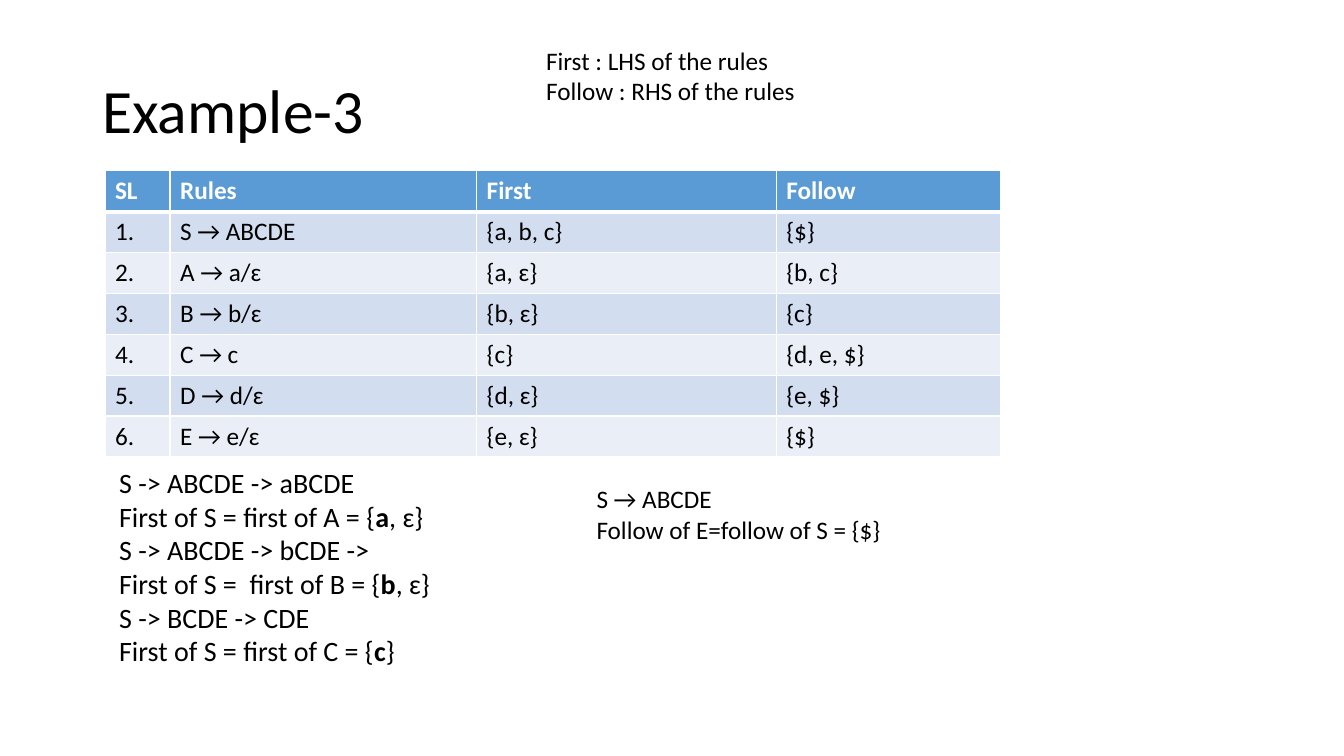
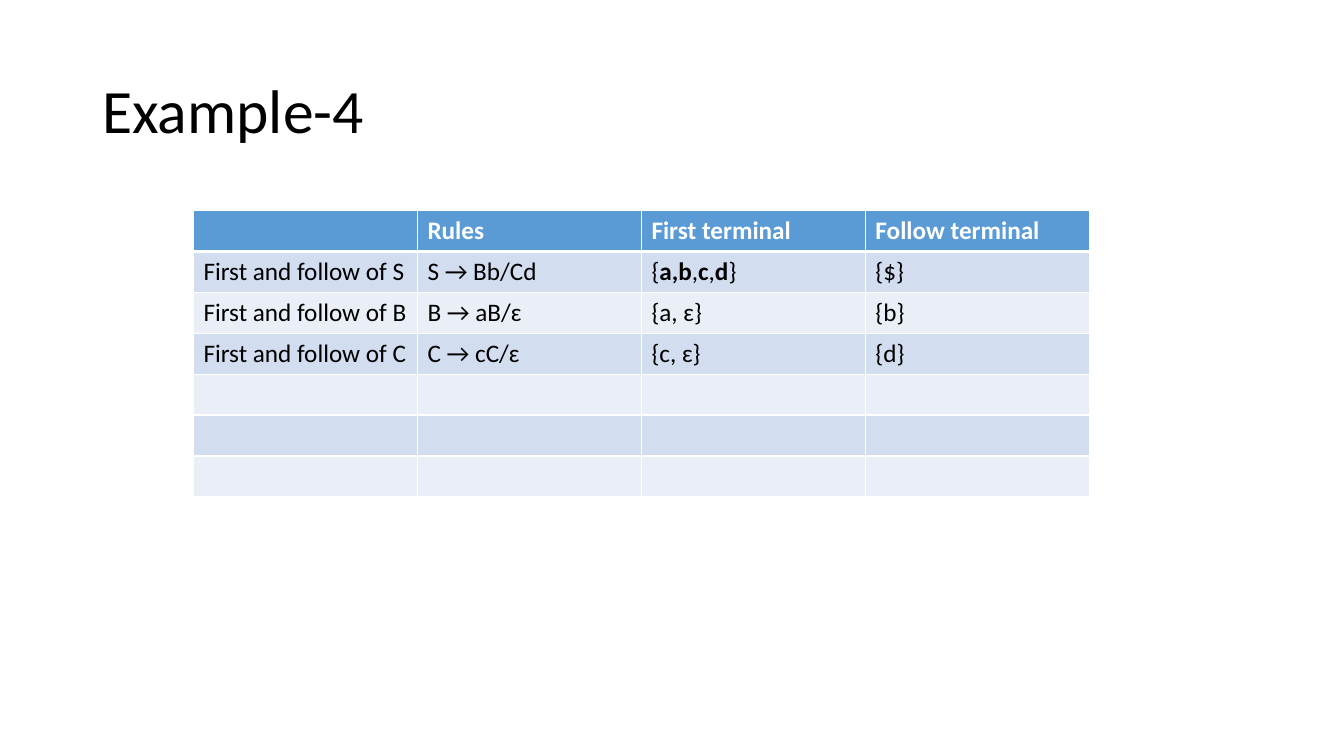
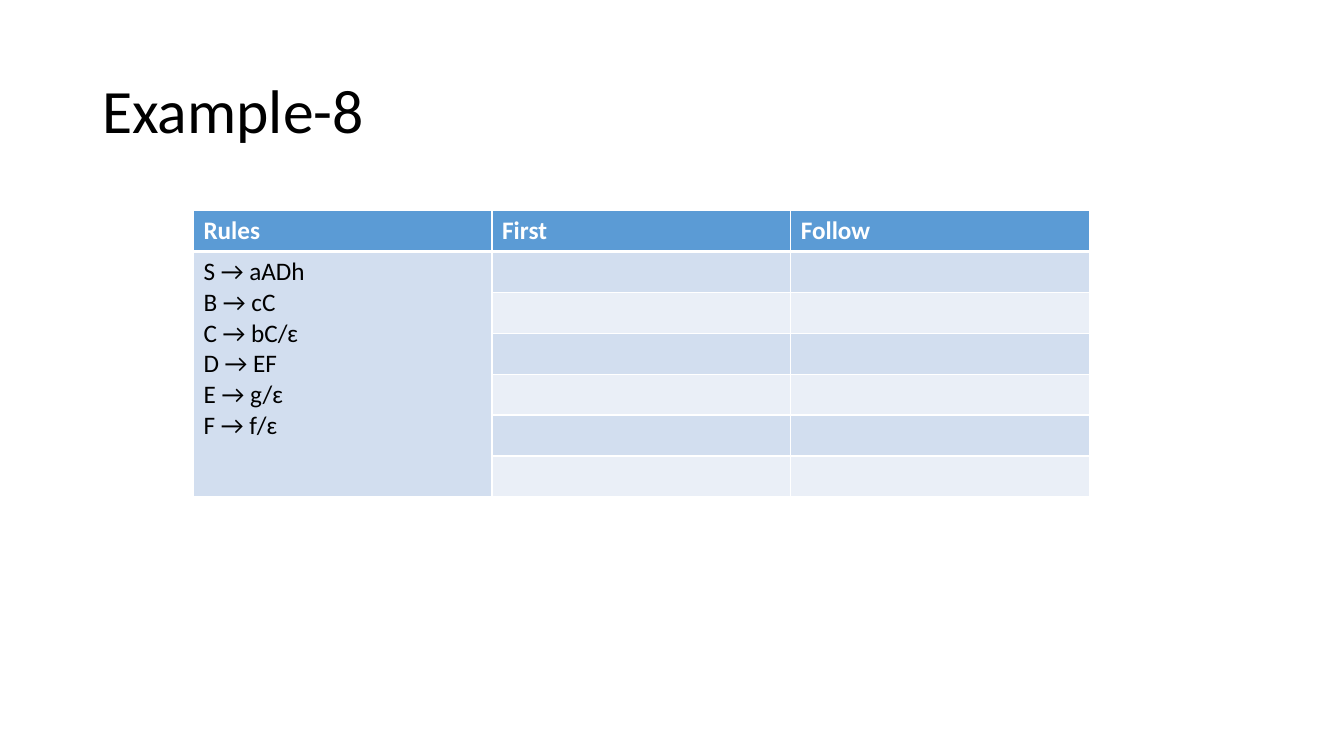
from dataclasses import dataclass

from lxml import etree
from pptx import Presentation, util as u
from pptx.dml.color import RGBColor
from pptx.enum import text
from pptx.oxml import ns


@dataclass(frozen=True)
class Theme:
    font: str = "Calibri"
    ink: str = "000000"
    white: str = "FFFFFF"
    header: str = "5B9BD5"
    bands: tuple = ("D2DEEF", "EAEFF7")
    title_size: int = 44
    working_size: int = 20
    body_size: int = 18
    rule: int = 1
    header_rule: int = 3
    row_height: float = 29.2
    table_width: int = 640


theme = Theme()


def write(frame, content, size, color=theme.ink, bold=False):
    """One paragraph per line; text between asterisks is bold."""
    for i, line in enumerate(content.split("\n")):
        paragraph = frame.paragraphs[0] if i == 0 else frame.add_paragraph()
        for j, part in enumerate(line.split("*")):
            if part:
                run = paragraph.add_run()
                run.text = part
                run.font.name = theme.font
                run.font.size = u.Pt(size)
                run.font.bold = bold or j % 2 == 1
                run.font.color.rgb = RGBColor.from_string(color)


def style_cell(cell, row):
    """Fill a cell by its row and draw its four white borders."""
    cell.fill.solid()
    fill = theme.header if row == 0 else theme.bands[(row - 1) % 2]
    cell.fill.fore_color.rgb = RGBColor.from_string(fill)
    properties = cell._tc.get_or_add_tcPr()
    for i, side in enumerate("LRTB"):
        thick = (row, side) in ((0, "B"), (1, "T"))
        width = theme.header_rule if thick else theme.rule
        border = etree.Element(ns.qn("a:ln" + side), w=str(u.Pt(width)))
        solid = etree.SubElement(border, ns.qn("a:solidFill"))
        etree.SubElement(solid, ns.qn("a:srgbClr"), val=theme.white)
        properties.insert(i, border)


# Content: notes are (left, top, width, height, size, text)
examples = [
    dict(
        title="Example-3",
        table_at=(75, 122),
        columns=[46.5, 219, 214, 160.5],
        rows=[
            ["SL", "Rules", "First", "Follow"],
            ["1.", "S → ABCDE", "{a, b, c}", "{$}"],
            ["2.", "A → a/ɛ", "{a, ɛ}", "{b, c}"],
            ["3.", "B → b/ɛ", "{b, ɛ}", "{c}"],
            ["4.", "C → c", "{c}", "{d, e, $}"],
            ["5.", "D → d/ɛ", "{d, ɛ}", "{e, $}"],
            ["6.", "E → e/ɛ", "{e, ɛ}", "{$}"],
        ],
        notes=[
            (383, 29, 194.4, 51, theme.body_size,
             "First : LHS of the rules\nFollow : RHS of the rules"),
            (78, 329, 238.3, 152.6, theme.working_size,
             "S -> ABCDE -> aBCDE\n"
             "First of S = first of A = {*a*, ɛ}\n"
             "S -> ABCDE -> bCDE ->\n"
             "First of S =  first of B = {*b*, ɛ}\n"
             "S -> BCDE -> CDE\n"
             "First of S = first of C = {*c*}"),
            (419, 342, 219.6, 51, theme.body_size,
             "S → ABCDE\nFollow of E=follow of S = {$}"),
        ],
    ),
    dict(
        title="Example-4",
        table_at=(138.2, 150.5),
        columns=[theme.table_width / 4] * 4,
        rows=[
            ["", "Rules", "First terminal", "Follow terminal"],
            ["First and follow of S", "S → Bb/Cd", "{*a,b*,*c*,*d*}", "{$}"],
            ["First and follow of B", "B → aB/ɛ", "{a, ɛ}", "{b}"],
            ["First and follow of C", "C → cC/ɛ", "{c, ɛ}", "{d}"],
        ] + [[""] * 4] * 3,
        notes=[],
    ),
    dict(
        title="Example-8",
        table_at=(138.2, 150.5),
        columns=[theme.table_width / 3] * 3,
        rows=[
            ["Rules", "First", "Follow"],
            ["S → aADh\nB → cC\nC → bC/ɛ\nD → EF\nE → g/ɛ\nF → f/ɛ", "", ""],
        ] + [[""] * 3] * 5,
        merge=((1, 0), (6, 0)),
        notes=[],
    ),
]

deck = Presentation()
deck.slide_width, deck.slide_height = u.Pt(960), u.Pt(540)

for example in examples:
    slide = deck.slides.add_slide(deck.slide_layouts[6])

    # Title
    title = slide.shapes.add_textbox(u.Pt(66), u.Pt(28.8), u.Pt(828), u.Pt(104.4)).text_frame
    title.word_wrap = True
    title.vertical_anchor = text.MSO_ANCHOR.MIDDLE
    write(title, example["title"], theme.title_size)
    title.paragraphs[0].line_spacing = 0.9

    # Table of rules
    rows, columns = example["rows"], example["columns"]
    left, top = example["table_at"]
    rules = slide.shapes.add_table(
        len(rows), len(columns), u.Pt(left), u.Pt(top),
        u.Pt(theme.table_width), u.Pt(theme.row_height * len(rows))).table
    for column, width in zip(rules.columns, columns):
        column.width = u.Pt(width)
    for r, row in enumerate(rows):
        rules.rows[r].height = u.Pt(theme.row_height)
        for c, content in enumerate(row):
            cell = rules.cell(r, c)
            style_cell(cell, r)
            write(cell.text_frame, content, theme.body_size,
                  theme.ink if r else theme.white, bold=r == 0)
    if "merge" in example:
        first, last = example["merge"]
        rules.cell(*first).merge(rules.cell(*last))

    # Notes around the table
    for left, top, width, height, size, content in example["notes"]:
        note = slide.shapes.add_textbox(
            u.Pt(left), u.Pt(top), u.Pt(width), u.Pt(height)).text_frame
        note.word_wrap = False
        note.auto_size = text.MSO_AUTO_SIZE.SHAPE_TO_FIT_TEXT
        write(note, content, size)

deck.save("out.pptx")
